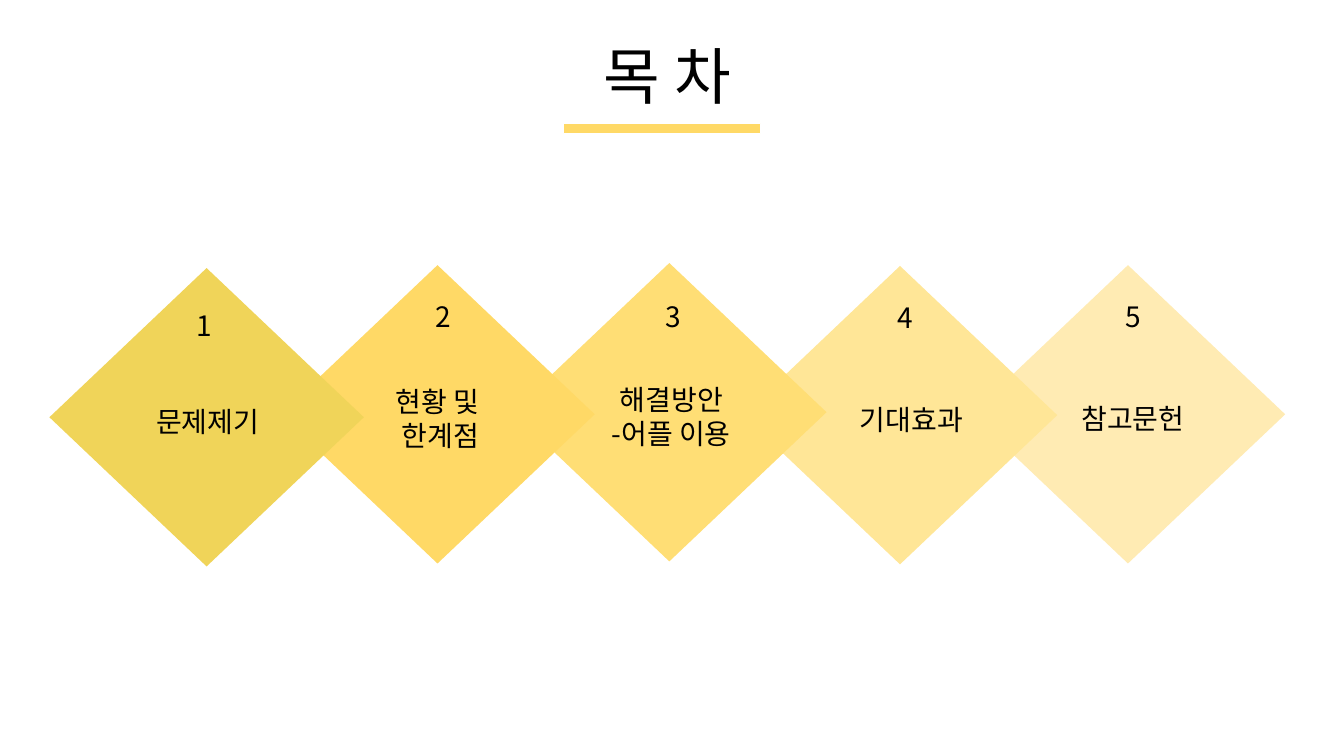
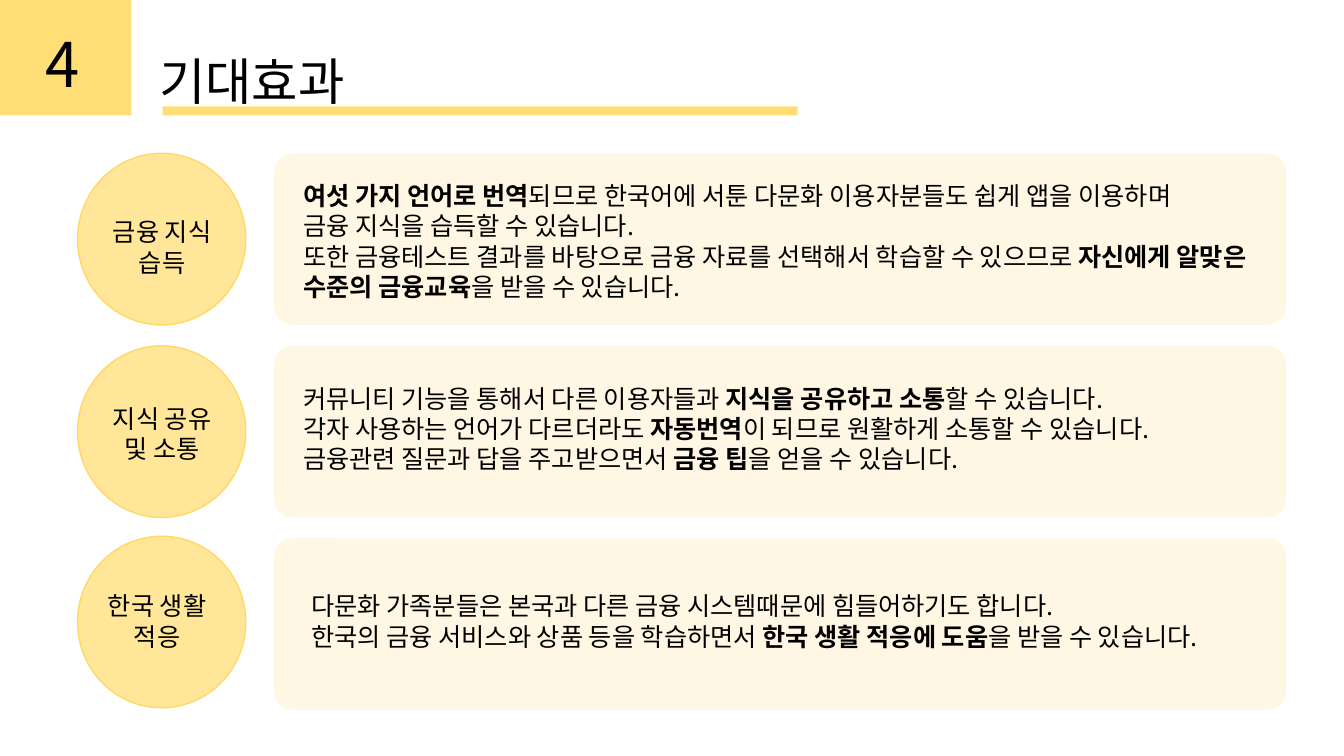
from dataclasses import dataclass

from lxml import etree
from pptx import Presentation
from pptx.dml.color import RGBColor
from pptx.enum.shapes import MSO_SHAPE as Shape
from pptx.enum.text import MSO_ANCHOR as Anchor, PP_ALIGN as Align
from pptx.oxml.ns import qn
from pptx.util import Pt


@dataclass(frozen=True)
class Theme:
    font: str = "Noto Sans CJK KR"
    text: str = "000000"
    accent: str = "FFD966"
    band: str = "FFDE75"
    circle: str = "FFE699"
    card: str = "FFF2CC"
    white: str = "FFFFFF"
    card_opacity: int = 54
    display: int = 44
    heading: int = 36
    step: int = 20
    body: int = 18


@dataclass(frozen=True)
class Step:
    left: float
    top: float
    fill: str
    lines: tuple
    number_offset: tuple = (103.5, 20.8)
    label_shift: float = 0


@dataclass(frozen=True)
class Effect:
    label: tuple
    body: tuple
    label_top: float
    body_top: float
    circle_shift: float = 0
    label_shift: float = 0
    body_shift: float = 0


THEME = Theme()
DIAMOND = (224.6, 213.1)

STEPS = (
    Step(35.3, 191.5, "F0D459", ("문제제기",), (98, 25.2), 0.7),
    Step(200.2, 189.4, "FFD966", ("현황 및 ", "한계점"), label_shift=2.1),
    Step(365.8, 187.9, "FFDE75", ("해결방안", "-어플 이용"), (102.2, 22.3), 1.4),
    Step(530.6, 190, "FFE697", ("기대효과",), label_shift=8),
    Step(693.4, 189.4, "FFEBB3", ("참고문헌",), label_shift=3.6),
)

# Text between double asterisks is bold
EFFECTS = (
    Effect(
        ("금융 지식 습득",),
        ("**여섯 가지 언어로 번역**되므로 한국어에 서툰 다문화 이용자분들도 쉽게 앱을 이용하며",
         "금융 지식을 습득할 수 있습니다.",
         "또한 금융테스트 결과를 바탕으로 금융 자료를 선택해서 학습할 수 있으므로 "
         "**자신에게 알맞은 수준의 금융교육**을 받을 수 있습니다."),
        41.8, 15.9),
    Effect(
        ("지식 공유", "및 소통"),
        ("커뮤니티 기능을 통해서 다른 이용자들과 **지식을 공유하고 소통**할 수 있습니다.",
         "각자 사용하는 언어가 다르더라도 **자동번역**이 되므로 원활하게 소통할 수 있습니다.",
         "금융관련 질문과 답을 주고받으면서 **금융 팁**을 얻을 수 있습니다."),
        37.4, 23),
    Effect(
        ("한국 생활", "적응"),
        ("다문화 가족분들은 본국과 다른 금융 시스템때문에 힘들어하기도 합니다.",
         "한국의 금융 서비스와 상품 등을 학습하면서 **한국 생활 적응에 도움**을 받을 수 있습니다."),
        33.8, 33.8, circle_shift=-1.5, label_shift=-3.6, body_shift=5.8),
)


def add_shape(slide, kind, box, fill, line=None, opacity=None):
    shape = slide.shapes.add_shape(kind, *map(Pt, box))
    shape.shadow.inherit = False
    shape.fill.solid()
    shape.fill.fore_color.rgb = RGBColor.from_string(fill)
    if opacity is not None:
        color = shape.fill._xPr.find(f".//{qn('a:srgbClr')}")
        etree.SubElement(color, qn("a:alpha"), val=str(opacity * 1000))
    if line:
        shape.line.color.rgb = RGBColor.from_string(line)
        shape.line.width = Pt(1)
    else:
        shape.line.fill.background()
    return shape


def add_run(paragraph, text, size, bold):
    run = paragraph.add_run()
    run.text = text
    font = run.font
    font.name, font.size, font.bold = THEME.font, Pt(size), bold
    font.color.rgb = RGBColor.from_string(THEME.text)
    east_asian = etree.Element(qn("a:ea"), typeface=THEME.font)
    run._r.rPr.find(qn("a:latin")).addnext(east_asian)


def add_text(slide, box, lines, size, align=Align.LEFT, anchor=Anchor.TOP, spacing=None):
    frame = slide.shapes.add_textbox(*map(Pt, box)).text_frame
    frame.word_wrap = True
    frame.vertical_anchor = anchor
    for index, line in enumerate(lines):
        paragraph = frame.add_paragraph() if index else frame.paragraphs[0]
        paragraph.alignment = align
        if spacing:
            paragraph.line_spacing = spacing
        for part, text in enumerate(line.split("**")):
            if text:
                add_run(paragraph, text, size, part % 2 == 1)


def add_step(slide, number, step):
    width, height = DIAMOND
    add_shape(slide, Shape.FLOWCHART_DECISION, (step.left, step.top, width, height), step.fill)
    dx, dy = step.number_offset
    add_text(slide, (step.left + dx, step.top + dy, 115, 31.5), [str(number)], THEME.step)
    label_width = 140
    label_left = step.left + (width - label_width) / 2 + step.label_shift
    label_top = step.top + (94 if len(step.lines) == 1 else 82)
    add_text(slide, (label_left, label_top, label_width, 31.5 * len(step.lines)),
             step.lines, THEME.step, Align.CENTER)


def add_effect(slide, box, effect):
    left, top, width, height = box
    # Card
    card_left = left + 140.4
    card = add_shape(slide, Shape.ROUNDED_RECTANGLE,
                     (card_left, top, width - 140.4, height),
                     THEME.card, opacity=THEME.card_opacity)
    card.adjustments[0] = 0.11
    # Circle and its label
    add_shape(slide, Shape.OVAL, (left, top + effect.circle_shift, 120.2, height),
              THEME.circle, THEME.accent)
    add_text(slide, (left + 10 + effect.label_shift, top + effect.label_top, 100.8, 51),
             effect.label, THEME.body, Align.CENTER)
    # Explanation
    add_text(slide, (card_left + 13.7 + effect.body_shift, top + effect.body_top, 698.4,
                     22 * len(effect.body) + 7),
             effect.body, THEME.body)


def add_section_header(slide, number, title):
    add_shape(slide, Shape.RECTANGLE, (0, 0, 93.9, 82.4), THEME.band)
    add_shape(slide, Shape.RECTANGLE, (116.2, 76, 453.6, 6.4), THEME.band)
    add_text(slide, (106.6, 32.4, 435, 51), [title], THEME.heading)
    add_text(slide, (25.2, 15.1, 42.5, 60.5), [str(number)], THEME.display)


def build_contents(slide):
    add_text(slide, (62.6, 15.8, 828, 81.4), ["목 차"], THEME.display,
             Align.CENTER, Anchor.MIDDLE, 0.9)
    add_shape(slide, Shape.RECTANGLE, (402.5, 88.2, 140.8, 7), THEME.accent, THEME.white)
    # The first step lies on top
    for number, step in reversed(list(enumerate(STEPS, 1))):
        add_step(slide, number, step)


def build_effects(slide):
    add_section_header(slide, 4, "기대효과")
    for row, effect in enumerate(EFFECTS):
        add_effect(slide, (55.4, 109.5 + 137.5 * row, 863.3, 122.6), effect)


def main():
    presentation = Presentation()
    presentation.slide_width, presentation.slide_height = Pt(960), Pt(540)
    for build in (build_contents, build_effects):
        build(presentation.slides.add_slide(presentation.slide_layouts[6]))
    presentation.save("out.pptx")


if __name__ == "__main__":
    main()
